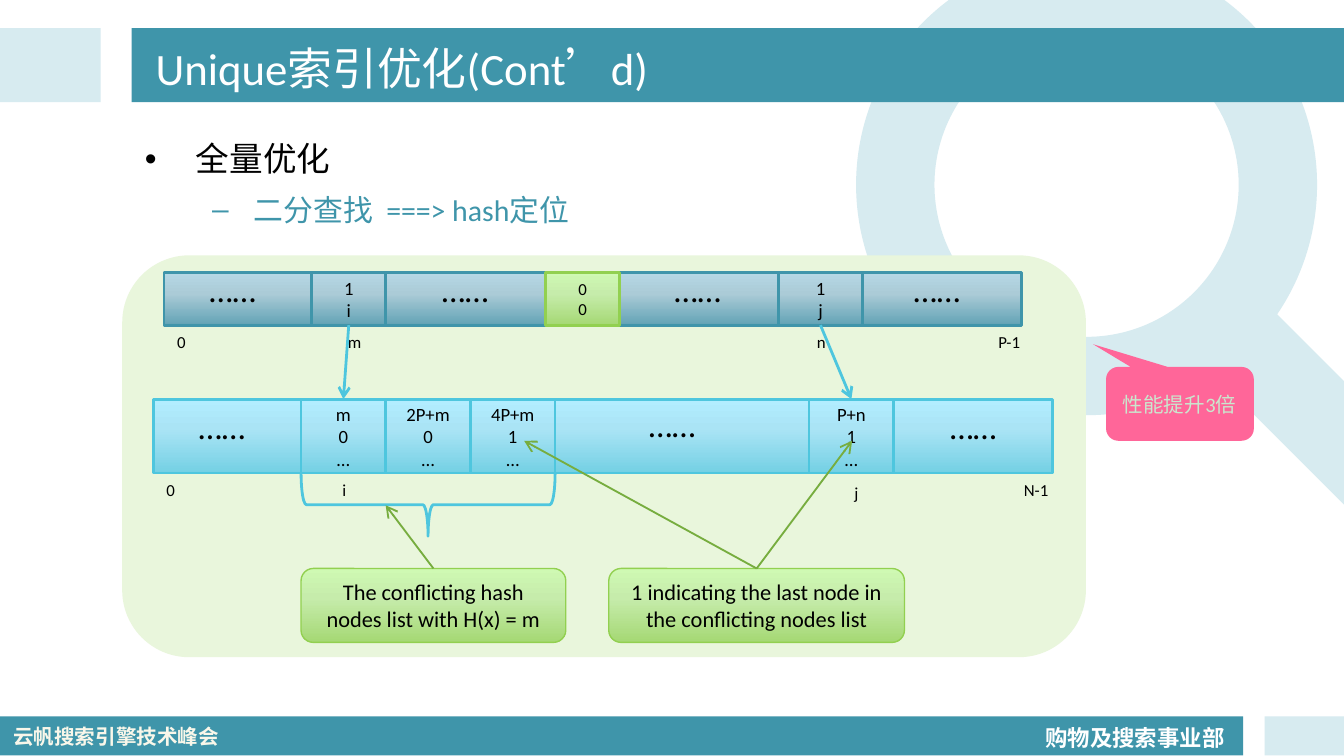
from copy import deepcopy
from dataclasses import dataclass

from lxml import etree
from pptx import Presentation
from pptx.dml.color import RGBColor
from pptx.enum import shapes, text
from pptx.oxml import ns
from pptx.util import Inches, Pt

KIND = shapes.MSO_SHAPE


@dataclass(frozen=True)
class Theme:
    font: str = "Calibri"
    cjk: str = "Noto Sans CJK SC"
    white: str = "FFFFFF"
    black: str = "000000"
    teal: str = "3F95AA"
    pale: str = "D7EBF0"
    cream: str = "F9F7EA"
    panel: str = "E9F6DC"
    cyan: str = "4EC6DE"
    lime: str = "92D050"
    leaf: str = "77AD3F"
    pink: str = "FF6699"
    mint: str = "CBE7CE"
    # Gradients run from top to bottom
    steel_fill: tuple = ("B5D7E4", "ABCBD7", "62A3B5")
    cyan_fill: tuple = ("B2EDFF", "AAE4F5", "74D0E4")
    lime_fill: tuple = ("CFF9B3", "C6ECAB", "A5D874")
    title: int = 24
    heading: int = 18
    subheading: int = 16
    note: int = 12
    small: int = 11
    cell: int = 10
    index: int = 9


T = Theme()
GRADIENT_STOPS = (0, 0.4, 1)


def rgb(code):
    return RGBColor.from_string(code)


def write(shape, lines, size, color=T.black, align=None, middle=False,
          wrap=True, bold=False, font=T.font):
    """Put lines into a shape, one paragraph each."""
    frame = shape.text_frame
    frame.word_wrap = wrap
    frame.vertical_anchor = text.MSO_ANCHOR.MIDDLE if middle else text.MSO_ANCHOR.TOP
    frame.text = "\n".join(lines)
    for paragraph in frame.paragraphs:
        paragraph.alignment = align
        for run in paragraph.runs:
            run.font.name = font
            run.font.size = Pt(size)
            run.font.bold = bold
            run.font.color.rgb = rgb(color)
            latin = run.font._element.find(ns.qn("a:latin"))
            latin.addnext(etree.Element(ns.qn("a:ea"), typeface=T.cjk))
    return frame


def paint(shape, fill):
    """Fill with one colour, a three-stop gradient or nothing."""
    if fill is None:
        shape.fill.background()
    elif isinstance(fill, str):
        shape.fill.solid()
        shape.fill.fore_color.rgb = rgb(fill)
    else:
        shape.fill.gradient()
        shape.fill.gradient_angle = 270
        stops = shape._element.spPr.find(".//" + ns.qn("a:gsLst"))
        stops.append(deepcopy(stops[-1]))
        for stop, position, color in zip(shape.fill.gradient_stops, GRADIENT_STOPS, fill):
            stop.position = position
            stop.color.rgb = rgb(color)


def block(slide, kind, box, fill, line=None, weight=1.5, adjust=(), turn=0):
    shape = slide.shapes.add_shape(kind, *map(Inches, box))
    shape.shadow.inherit = False
    shape.rotation = turn
    for i, value in enumerate(adjust):
        shape.adjustments[i] = value
    paint(shape, fill)
    if line:
        shape.line.color.rgb = rgb(line)
        shape.line.width = Pt(weight)
    else:
        shape.line.fill.background()
    return shape


def label(slide, box, lines, size, **style):
    holder = slide.shapes.add_textbox(*map(Inches, box))
    return write(holder, lines, size, **style)


def cell(slide, box, lines, fill, line, size=T.cell):
    shape = block(slide, KIND.RECTANGLE, box, fill, line)
    write(shape, lines, size, align=text.PP_ALIGN.CENTER, middle=True)
    return shape


def note(slide, left, width, words):
    shape = block(slide, KIND.ROUNDED_RECTANGLE, (left, 4.23, width, 0.55),
                  T.lime_fill, T.lime, 0.75)
    write(shape, [words], T.note, align=text.PP_ALIGN.CENTER, middle=True)
    return shape


def arrow(slide, source, source_site, color, weight, target=None, point=(0, 0)):
    """Point from a shape's side to the top of target or to a free point."""
    x, y = map(Inches, point)
    connector = slide.shapes.add_connector(shapes.MSO_CONNECTOR.STRAIGHT, x, y, x, y)
    connector.begin_connect(source, source_site)
    if target is not None:
        connector.end_connect(target, 0)
    connector.line.color.rgb = rgb(color)
    connector.line.width = Pt(weight)
    etree.SubElement(connector.line._get_or_add_ln(), ns.qn("a:tailEnd"), type="arrow")
    etree.SubElement(connector._element.spPr, ns.qn("a:effectLst"))


def bullet(paragraph, mark, margin, indent, before):
    paragraph.line_spacing = 1.2
    paragraph.space_before = Pt(before)
    props = paragraph._p.get_or_add_pPr()
    props.set("marL", str(Inches(margin)))
    props.set("indent", str(Inches(-indent)))
    etree.SubElement(props, ns.qn("a:buFont"), typeface="Arial")
    etree.SubElement(props, ns.qn("a:buChar"), char=mark)


def frame_slide(slide):
    # Magnifier behind the content
    block(slide, KIND.DONUT, (6.37, -0.34, 3.43, 3.43), T.pale, adjust=[0.17])
    block(slide, KIND.ROUNDED_RECTANGLE, (8.66, 2.7, 2.14, 0.65), T.pale,
          adjust=[0.5], turn=45)
    # Header and footer bands
    for box, color in [((0, 5.33, 9.25, 0.29), T.teal), ((9.41, 5.33, 0.59, 0.29), T.pale),
                       ((0, 0.21, 0.75, 0.55), T.pale), ((0.98, 0.21, 9.02, 0.55), T.teal)]:
        block(slide, KIND.RECTANGLE, box, color)
    division = label(slide, (7.68, 5.3, 1.55, 0.33), ["购物及搜索事业部"], T.note,
                     color=T.white, bold=True, wrap=False)
    division.paragraphs[0].line_spacing = 1.2
    label(slide, (0, 5.34, 1.77, 0.29), ["云帆搜索引擎技术峰会"], T.small,
          color=T.cream, bold=True, font=T.cjk)


def headings(slide):
    label(slide, (1.06, 0.23, 8.44, 0.54), ["Unique索引优化(Cont’d)"], T.title,
          color=T.white, middle=True)
    body = label(slide, (0.98, 0.92, 8.52, 4.1),
                 ["全量优化", "二分查找  ===> hash定位"], T.heading)
    topic, detail = body.paragraphs
    bullet(topic, "•", 0.38, 0.38, 3.6)
    detail.level = 1
    bullet(detail, "–", 0.81, 0.31, 3.2)
    detail.runs[0].font.size = Pt(T.subheading)
    detail.runs[0].font.color.rgb = rgb(T.teal)


def hash_diagram(slide):
    # Both arrays
    block(slide, KIND.RECTANGLE, (1.14, 2.97, 6.69, 0.55), T.cyan_fill, T.cyan)
    block(slide, KIND.RECTANGLE, (1.22, 2.03, 6.38, 0.39), T.steel_fill, T.teal)

    # Bucket row
    bucket_i = cell(slide, (2.32, 2.03, 0.55, 0.39), ["1", "i"], T.steel_fill, T.teal)
    bucket_j = cell(slide, (5.79, 2.03, 0.63, 0.39), ["1", "j"], T.steel_fill, T.teal)
    cell(slide, (4.06, 2.03, 0.55, 0.39), ["0", "0"], T.lime_fill, T.lime, T.index)

    # Node row
    nodes = [(2.24, "m", "0"), (2.87, "2P+m", "0"), (3.5, "4P+m", "1"), (6.02, "P+n", "1")]
    node_m, _, _, node_n = [
        cell(slide, (left, 2.97, 0.63, 0.55), [key, last, "…"], T.cyan_fill, T.cyan)
        for left, key, last in nodes]

    # Omitted entries
    for left, top in [(1.46, 1.95), (3.19, 1.95), (4.92, 1.95), (6.7, 1.95),
                      (4.73, 2.96), (6.97, 2.97), (1.38, 2.97)]:
        label(slide, (left, top, 0.58, 0.4), ["……"], T.heading, wrap=False)

    # Positions under both rows
    for left, top, width, words in [
            (1.22, 2.42, 0.27, "0"), (2.49, 2.42, 0.3, "m"), (5.98, 2.42, 0.27, "n"),
            (7.33, 2.42, 0.37, "P-1"), (1.14, 3.52, 0.27, "0"), (2.45, 3.52, 0.23, "i"),
            (6.26, 3.54, 0.23, "j"), (7.52, 3.52, 0.38, "N-1")]:
        label(slide, (left, top, width, 0.25), [words], T.index, wrap=False)

    # Conflict list brace and explanations
    block(slide, KIND.LEFT_BRACE, (2.95, 2.81, 0.47, 1.89), None, T.cyan,
          adjust=[0.083, 0.5], turn=270)
    conflict = note(slide, 2.24, 1.97, "The conflicting hash nodes list with H(x) = m")
    last_node = note(slide, 4.53, 2.2, "1 indicating the last node in the conflicting nodes list")

    # Arrows
    arrow(slide, bucket_i, 2, T.cyan, 1.5, target=node_m)
    arrow(slide, bucket_j, 2, T.cyan, 1.5, target=node_n)
    for source, point in [(conflict, (2.87, 3.76)), (last_node, (3.9, 3.28)),
                          (last_node, (6.34, 3.28))]:
        arrow(slide, source, 0, T.leaf, 1, point=point)


def speedup_callout(slide):
    callout = block(slide, KIND.ROUNDED_RECTANGULAR_CALLOUT, (8.23, 2.73, 1.1, 0.55),
                    T.pink, adjust=[-0.588, -0.807, 0.167])
    write(callout, ["性能提升3倍"], T.small, color=T.mint, middle=True,
          align=text.PP_ALIGN.LEFT)


def main():
    deck = Presentation()
    deck.slide_width = Inches(10)
    deck.slide_height = deck.slide_width * 9 // 16
    slide = deck.slides.add_slide(deck.slide_layouts[6])
    frame_slide(slide)
    block(slide, KIND.ROUNDED_RECTANGLE, (0.91, 1.9, 7.17, 2.99), T.panel)
    headings(slide)
    hash_diagram(slide)
    speedup_callout(slide)
    deck.save("out.pptx")


if __name__ == "__main__":
    main()
